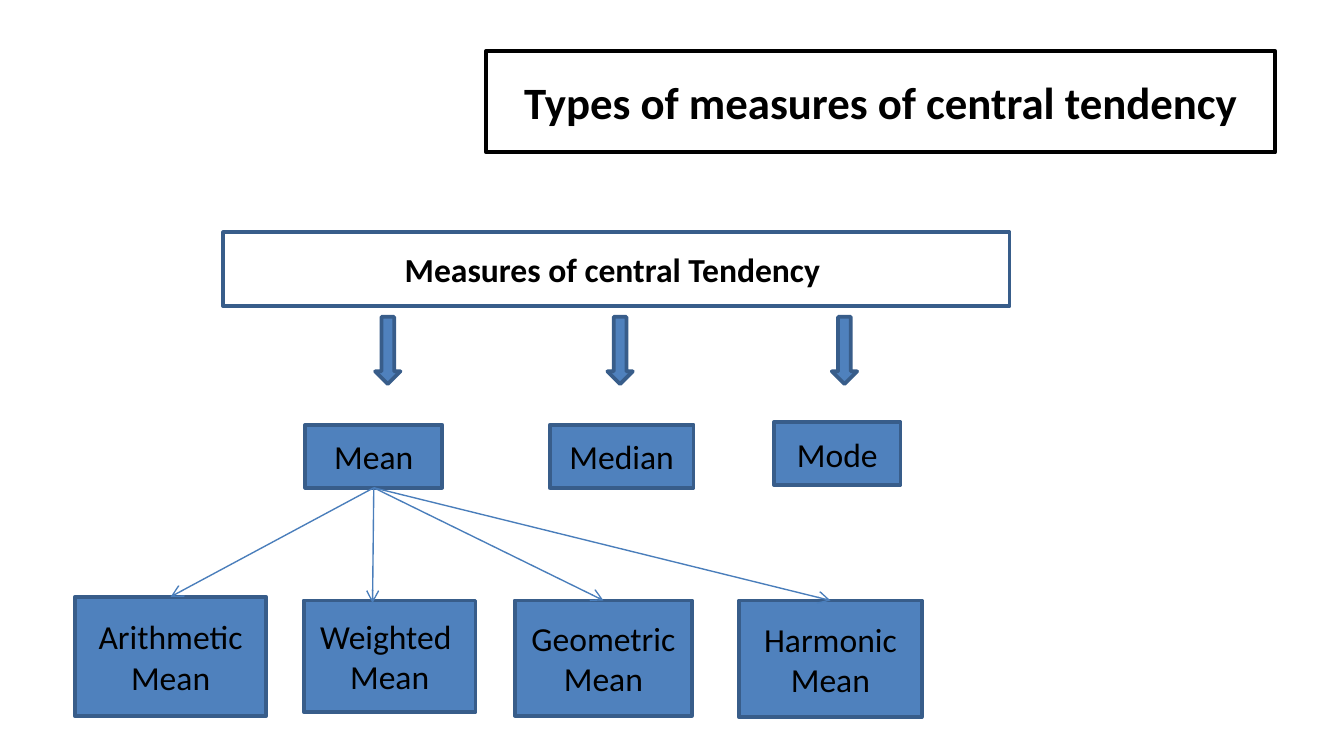
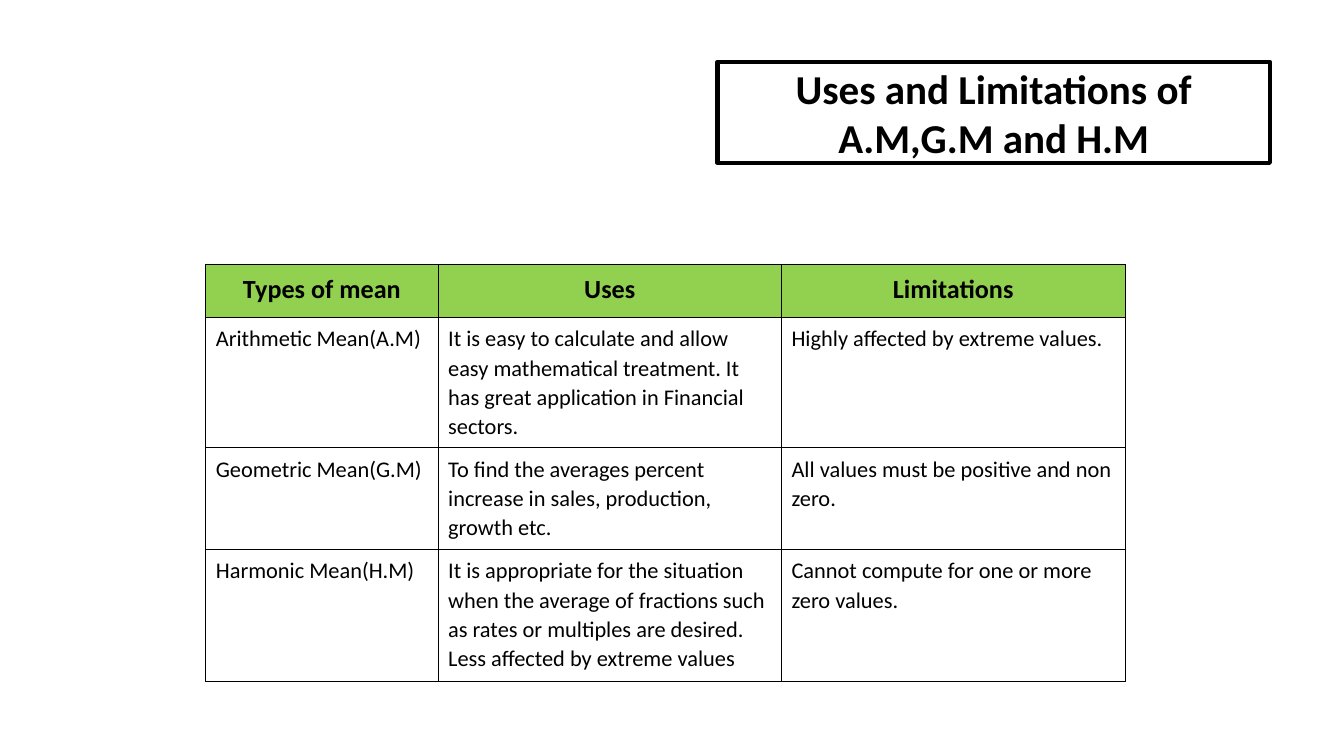
from dataclasses import dataclass
from itertools import product
from typing import Optional

from lxml import etree
from pptx import Presentation
from pptx.dml.color import RGBColor
from pptx.enum import shapes, text
from pptx.oxml import ns
from pptx.util import Cm, Pt


@dataclass(frozen=True)
class Theme:
    font: str = "Calibri"
    ink: str = "000000"
    paper: str = "FFFFFF"
    node: str = "4F81BD"
    node_edge: str = "385D8A"
    branch: str = "4A7EBB"
    table_header: str = "92D050"
    node_size: float = 18
    header_size: float = 14
    body_size: float = 12
    title_line: float = 2.25
    node_line: float = 2
    branch_line: float = 0.75
    cell_line: float = 0.45


THEME = Theme()


@dataclass(frozen=True)
class Box:
    """A place on the slide, in centimetres, and the text it holds."""
    left: float
    top: float
    width: float
    height: float
    label: str = ""


MEASURES_TITLE = Box(9.19, 0.97, 14.91, 1.91, "Types of measures of central tendency")
USES_TITLE = Box(13.56, 1.17, 10.44, 1.91, "Uses and Limitations of A.M,G.M and H.M")

ROOT = Box(4.22, 4.39, 14.86, 1.4, "Measures of central Tendency ")
ARROWS = [Box(left, 5.99, 0.48, 1.27) for left in (7.09, 11.48, 15.72)]
MEAN = Box(5.77, 8.03, 2.59, 1.19, "Mean")
OTHER_MEASURES = [
    Box(10.39, 8.03, 2.72, 1.19, "Median"),
    Box(14.63, 7.98, 2.39, 1.19, "Mode"),
]
ARITHMETIC = Box(1.42, 11.28, 3.61, 2.26, "Arithmetic\nMean")
WEIGHTED = Box(5.74, 11.35, 3.25, 2.11, "Weighted \nMean")
GEOMETRIC = Box(9.73, 11.35, 3.35, 2.18, "Geometric\nMean")
HARMONIC = Box(13.97, 11.35, 3.45, 2.21, "Harmonic\nMean")
WEIGHTED_TIP = (7.04, 11.4)

TABLE = Box(3.89, 5.0, 17.37, 7.56)
COLUMN_WIDTHS = (4.39, 6.49, 6.49)
ROW_HEIGHTS = (0.99, 2.18, 1.88, 2.51)
TABLE_ROWS = (
    ("Types of mean", "Uses", "Limitations"),
    (
        "Arithmetic Mean(A.M)",
        "It is easy to calculate and allow easy mathematical treatment. "
        "It has great application in Financial sectors.",
        "Highly affected by extreme values.",
    ),
    (
        "Geometric Mean(G.M)",
        "To find the averages percent increase in sales, production, growth etc.",
        "All values must be positive and non zero.",
    ),
    (
        "Harmonic Mean(H.M)",
        "It is appropriate for the situation when the average of fractions such as "
        "rates or multiples are desired. Less affected by extreme values",
        "Cannot compute for one or more zero values.",
    ),
)


def write_text(frame, content: str, *, size: float, bold: bool = False,
               align=text.PP_ALIGN.CENTER, line_spacing: Optional[float] = None) -> None:
    """Fill a text frame, one paragraph for each line of the content."""
    frame.word_wrap = True
    frame.text = content
    for paragraph in frame.paragraphs:
        paragraph.alignment = align
        if line_spacing:
            paragraph.line_spacing = line_spacing
        for run in paragraph.runs:
            run.font.name = THEME.font
            run.font.size = Pt(size)
            run.font.bold = bold
            run.font.color.rgb = RGBColor.from_string(THEME.ink)


def add_box(slide, box: Box, *, kind=shapes.MSO_SHAPE.RECTANGLE,
            fill: Optional[str] = THEME.node, edge: str = THEME.node_edge,
            edge_width: float = THEME.node_line, size: float = THEME.node_size,
            bold: bool = False):
    shape = slide.shapes.add_shape(
        kind, Cm(box.left), Cm(box.top), Cm(box.width), Cm(box.height))
    shape.shadow.inherit = False
    if fill:
        shape.fill.solid()
        shape.fill.fore_color.rgb = RGBColor.from_string(fill)
    else:
        shape.fill.background()
    shape.line.color.rgb = RGBColor.from_string(edge)
    shape.line.width = Pt(edge_width)
    if box.label:
        shape.text_frame.vertical_anchor = text.MSO_ANCHOR.MIDDLE
        write_text(shape.text_frame, box.label, size=size, bold=bold)
    return shape


def add_title(slide, box: Box, size: float) -> None:
    add_box(slide, box, fill=None, edge=THEME.ink, edge_width=THEME.title_line,
            size=size, bold=True)


def add_branch(slide, parent, child=None, tip: tuple[float, float] = (0, 0)) -> None:
    """Draw an arrow from below the parent to the top of the child, or to a free tip."""
    end_x, end_y = map(Cm, tip)
    branch = slide.shapes.add_connector(
        shapes.MSO_CONNECTOR.STRAIGHT, parent.left, parent.top, end_x, end_y)
    branch.begin_connect(parent, 2)
    if child is not None:
        branch.end_connect(child, 0)
    branch.line.color.rgb = RGBColor.from_string(THEME.branch)
    branch.line.width = Pt(THEME.branch_line)
    etree.SubElement(branch.line._get_or_add_ln(), ns.qn("a:tailEnd"), type="arrow")
    etree.SubElement(branch._element.spPr, ns.qn("a:effectLst"))


def add_borders(cell) -> None:
    properties = cell._tc.get_or_add_tcPr()
    for side in ("lnL", "lnR", "lnT", "lnB"):
        line = etree.SubElement(
            properties, ns.qn(f"a:{side}"), w=str(int(Pt(THEME.cell_line))))
        fill = etree.SubElement(line, ns.qn("a:solidFill"))
        etree.SubElement(fill, ns.qn("a:srgbClr"), val=THEME.ink)


def format_cell(cell, content: str, is_header: bool) -> None:
    cell.margin_left = cell.margin_right = Cm(0.19)
    cell.margin_top = cell.margin_bottom = Cm(0.13)
    add_borders(cell)
    if is_header:
        cell.fill.solid()
        cell.fill.fore_color.rgb = RGBColor.from_string(THEME.table_header)
    else:
        cell.fill.background()
    write_text(
        cell.text_frame, content, bold=is_header, line_spacing=1.07,
        size=THEME.header_size if is_header else THEME.body_size,
        align=text.PP_ALIGN.CENTER if is_header else text.PP_ALIGN.LEFT)


def add_means_table(slide) -> None:
    table = slide.shapes.add_table(
        len(ROW_HEIGHTS), len(COLUMN_WIDTHS), Cm(TABLE.left), Cm(TABLE.top),
        Cm(TABLE.width), Cm(TABLE.height)).table
    table.first_row = table.horz_banding = False
    for column, width in zip(table.columns, COLUMN_WIDTHS):
        column.width = Cm(width)
    for row, height in zip(table.rows, ROW_HEIGHTS):
        row.height = Cm(height)
    for row, column in product(range(len(ROW_HEIGHTS)), range(len(COLUMN_WIDTHS))):
        format_cell(table.cell(row, column), TABLE_ROWS[row][column], row == 0)


def build_measures_slide(slide) -> None:
    add_title(slide, MEASURES_TITLE, 24)
    add_box(slide, ROOT, fill=THEME.paper, bold=True)
    for arrow in ARROWS:
        add_box(slide, arrow, kind=shapes.MSO_SHAPE.DOWN_ARROW)
    mean = add_box(slide, MEAN)
    for measure in OTHER_MEASURES:
        add_box(slide, measure)
    arithmetic, _, geometric, harmonic = [
        add_box(slide, kind) for kind in (ARITHMETIC, WEIGHTED, GEOMETRIC, HARMONIC)]
    add_branch(slide, mean, arithmetic)
    add_branch(slide, mean, tip=WEIGHTED_TIP)
    add_branch(slide, mean, geometric)
    add_branch(slide, mean, harmonic)


def build_uses_slide(slide) -> None:
    add_title(slide, USES_TITLE, 22)
    add_means_table(slide)


def main() -> None:
    presentation = Presentation()
    presentation.slide_width, presentation.slide_height = Cm(25.4), Cm(14.29)
    blank = presentation.slide_layouts[6]
    for build in (build_measures_slide, build_uses_slide):
        build(presentation.slides.add_slide(blank))
    presentation.save("out.pptx")


if __name__ == "__main__":
    main()
